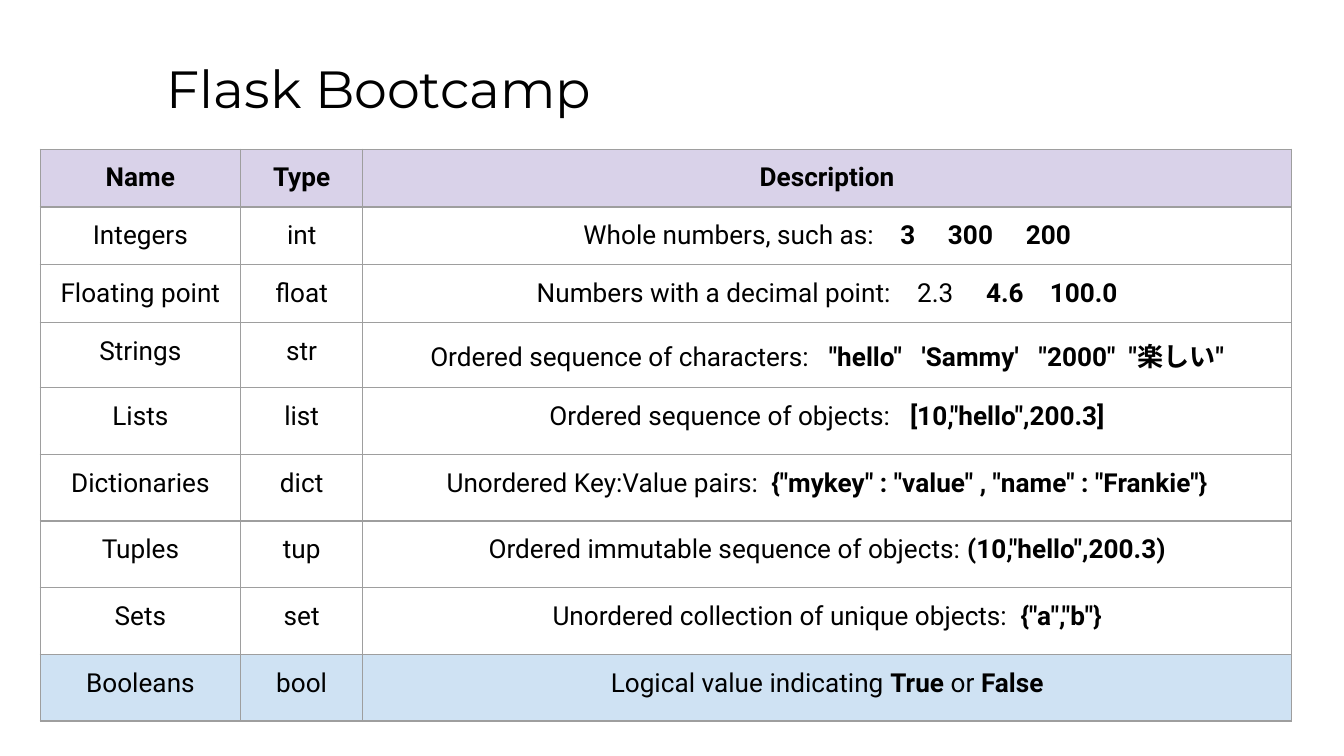
from lxml import etree
from pptx import Presentation
from pptx import util as u
from pptx.dml.color import RGBColor
from pptx.enum import text
from pptx.oxml.ns import qn

WIDTH = 10
HEIGHT = WIDTH * 9 / 16
COLORS = {
    "page": "FFFFFF",
    "ink": "000000",
    "rule": "9E9E9E",
    "header": "D9D2E9",
    "highlight": "CFE2F3",
}
TITLE_FONT, TABLE_FONT = "Montserrat", "Roboto"
TABLE_SIZE = 14
SPACE_WIDTH = 0.25 * TABLE_SIZE
INSET = u.Inches(0.1)

COLUMNS = [1.49, 0.91, 6.91]
ROWS = [0.39, 0.36, 0.32, 0.47] + [0.5] * 5
ROW_FILLS = {0: "header", len(ROWS) - 1: "highlight"}

# A leading * marks bold text; a number is a gap as wide as that many spaces.
DATA_TYPES = [
    ("*Name", "*Type", ["*Description"]),
    ("Integers", "int", ["Whole numbers, such as:", 4, "*3", 5, "*300", 5, "*200"]),
    ("Floating point", "float",
     ["Numbers with a decimal point:", 4, "2.3", 5, "*4.6", 4, "*100.0"]),
    ("Strings", "str",
     ["Ordered sequence of characters:", 3, '*"hello"', 3, "*'Sammy'", 3,
      '*"2000"', 2, '*"楽しい"']),
    ("Lists", "list", ["Ordered sequence of objects:", 3, '*[10,"hello",200.3]']),
    ("Dictionaries", "dict",
     ["Unordered Key:Value pairs:", 2, '*{"mykey" : "value" , "name" : "Frankie"}']),
    ("Tuples", "tup",
     ["Ordered immutable sequence of objects: ", '*(10,"hello",200.3)']),
    ("Sets", "set", ["Unordered collection of unique objects:", 2, '*{"a","b"}']),
    ("Booleans", "bool", ["Logical value indicating ", "*True ", "or ", "*False"]),
]


def rgb(name):
    return RGBColor.from_string(COLORS[name])


def add_run(paragraph, wording, font, size, bold=False):
    run = paragraph.add_run()
    run.text = wording
    run.font.name = font
    run.font.size = u.Pt(size)
    run.font.bold = bold
    run.font.color.rgb = rgb("ink")
    return run


def add_gap(paragraph, spaces):
    """Widen one space to the width of several."""
    gap = add_run(paragraph, " ", TABLE_FONT, TABLE_SIZE)
    extra = (spaces - 1) * SPACE_WIDTH
    gap.font._element.set("spc", str(round(extra * 100)))


def set_insets(holder):
    holder.margin_left = holder.margin_right = INSET
    holder.margin_top = holder.margin_bottom = INSET


def add_borders(cell):
    properties = cell._tc.get_or_add_tcPr()
    for side in ("a:lnL", "a:lnR", "a:lnT", "a:lnB"):
        line = etree.SubElement(properties, qn(side), w=str(u.Pt(0.75)))
        fill = etree.SubElement(line, qn("a:solidFill"))
        etree.SubElement(fill, qn("a:srgbClr"), val=COLORS["rule"])


def fill_cell(cell, pieces, fill_name):
    add_borders(cell)
    if fill_name:
        cell.fill.solid()
        cell.fill.fore_color.rgb = rgb(fill_name)
    else:
        cell.fill.background()
    set_insets(cell)
    paragraph = cell.text_frame.paragraphs[0]
    paragraph.alignment = text.PP_ALIGN.CENTER
    for piece in pieces:
        if isinstance(piece, int):
            add_gap(paragraph, piece)
        else:
            add_run(paragraph, piece.removeprefix("*"), TABLE_FONT, TABLE_SIZE,
                    bold=piece.startswith("*"))


def place_title(slide, box):
    title = slide.shapes.title
    title.left, title.top, title.width, title.height = map(u.Inches, box)
    frame = title.text_frame
    frame.word_wrap = True
    frame.vertical_anchor = text.MSO_ANCHOR.TOP
    set_insets(frame)
    heading = frame.paragraphs[0]
    heading.alignment = text.PP_ALIGN.LEFT
    add_run(heading, "Flask Bootcamp", TITLE_FONT, 28)


def place_data_types(slide, box):
    """Share the box among columns and rows in proportion to the grid."""
    left, top, width, height = box
    table = slide.shapes.add_table(
        len(ROWS), len(COLUMNS), *map(u.Inches, box)).table
    table.first_row = table.horz_banding = False
    for column, share in zip(table.columns, COLUMNS):
        column.width = u.Inches(width * share / sum(COLUMNS))
    for row, share in zip(table.rows, ROWS):
        row.height = u.Inches(height * share / sum(ROWS))
    for index, (name, type_name, description) in enumerate(DATA_TYPES):
        contents = ([name], [type_name], description)
        for cell, pieces in zip(table.rows[index].cells, contents):
            fill_cell(cell, pieces, ROW_FILLS.get(index))


def main():
    deck = Presentation()
    deck.slide_width, deck.slide_height = u.Inches(WIDTH), u.Inches(HEIGHT)
    slide = deck.slides.add_slide(deck.slide_layouts[5])
    slide.background.fill.solid()
    slide.background.fill.fore_color.rgb = rgb("page")
    place_title(slide, (1.14, 0.32, 8.52, 0.63))
    place_data_types(slide, (0.3, 1.11, sum(COLUMNS), 4.01))
    deck.save("out.pptx")


if __name__ == "__main__":
    main()
